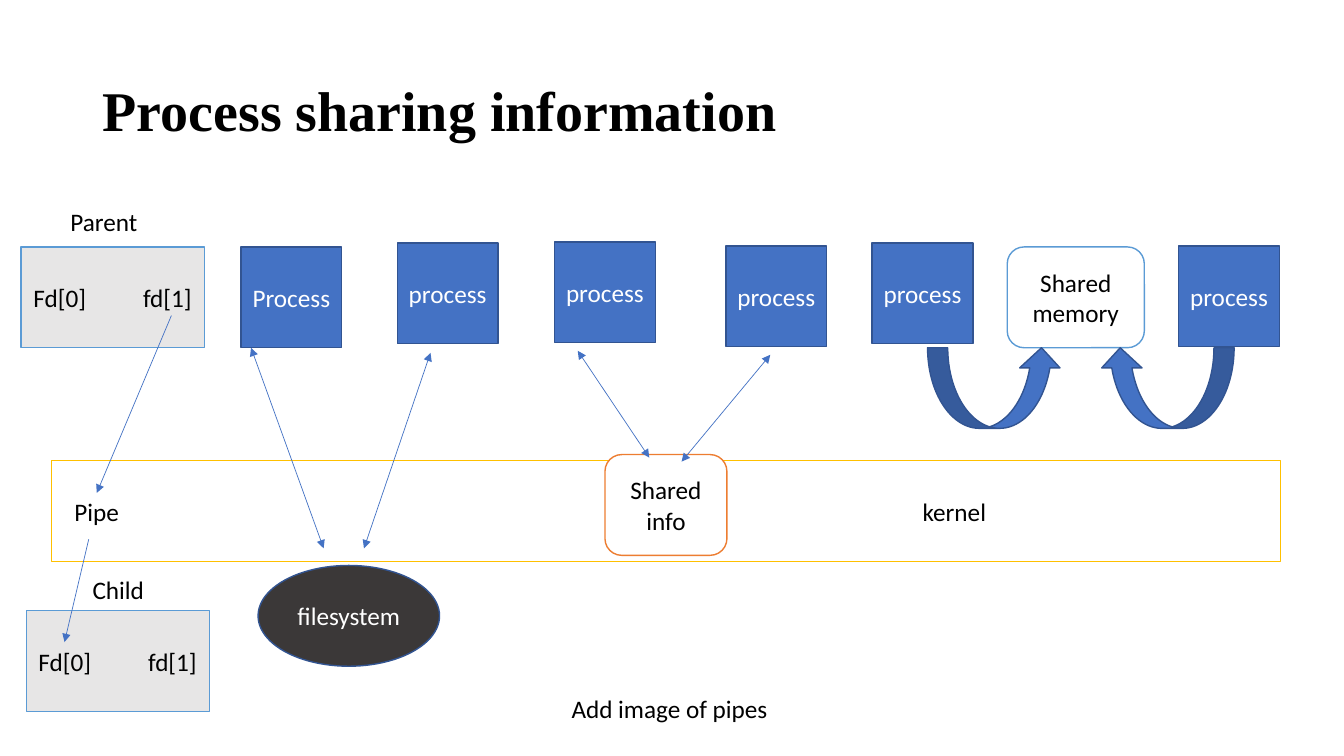
from lxml import etree
from pptx import Presentation
from pptx.dml.color import RGBColor
from pptx.enum.shapes import MSO_CONNECTOR, MSO_SHAPE
from pptx.enum.text import MSO_ANCHOR, PP_ALIGN
from pptx.oxml.ns import qn
from pptx.util import Inches, Pt

RECT, ROUNDED, OVAL = MSO_SHAPE.RECTANGLE, MSO_SHAPE.ROUNDED_RECTANGLE, MSO_SHAPE.OVAL
CURVED_UP, CURVED_DOWN = MSO_SHAPE.CURVED_UP_ARROW, MSO_SHAPE.CURVED_DOWN_ARROW
STRAIGHT = MSO_CONNECTOR.STRAIGHT
LEFT, CENTER = PP_ALIGN.LEFT, PP_ALIGN.CENTER
TOP, MIDDLE = MSO_ANCHOR.TOP, MSO_ANCHOR.MIDDLE

COLORS = {
    "black": "000000",
    "white": "FFFFFF",
    "blue": "4472C4",
    "navy": "325491",
    "sky": "5B9BD5",
    "gold": "FFC000",
    "orange": "ED7D31",
    "grey": "E7E6E6",
    "charcoal": "3B3838",
}


def rgb(name):
    return RGBColor.from_string(COLORS[name])


class Diagram:
    """Draws the elements of one slide in a shared style."""

    font, size = "Calibri", 18

    def __init__(self, slide):
        self.shapes = slide.shapes

    def set_text(self, frame, text, color="black", align=CENTER, anchor=MIDDLE,
                 font=font, size=size, bold=False):
        frame.text = text
        frame.word_wrap = True
        frame.vertical_anchor = anchor
        for para in frame.paragraphs:
            para.alignment = align
            for span in para.runs:
                span.font.name = font
                span.font.size = Pt(size)
                span.font.bold = bold
                span.font.color.rgb = rgb(color)

    def label(self, text, left, top, width, height=0.4, anchor=TOP, **style):
        box = self.shapes.add_textbox(*map(Inches, (left, top, width, height)))
        self.set_text(box.text_frame, text, align=LEFT, anchor=anchor, **style)
        return box

    def box(self, kind, left, top, width, height=1, text="", fill="blue",
            line="navy", color="white", align=CENTER):
        box = self.shapes.add_shape(kind, *map(Inches, (left, top, width, height)))
        box.shadow.inherit = False
        box.fill.solid()
        box.fill.fore_color.rgb = rgb(fill)
        box.line.color.rgb = rgb(line)
        box.line.width = Pt(1)
        if text:
            self.set_text(box.text_frame, text, color, align)
        return box

    def descriptors(self, left, top):
        """Box with the two pipe ends, the second set at a tab stop."""
        box = self.box(RECT, left, top, 1.82, text="Fd[0]\tfd[1]", fill="grey",
                       line="sky", color="black", align=LEFT)
        box.text_frame.margin_left = Inches(0.12)
        box.text_frame.margin_right = 0
        properties = box.text_frame.paragraphs[0]._p.get_or_add_pPr()
        stops = etree.SubElement(properties, qn("a:tabLst"))
        etree.SubElement(stops, qn("a:tab"), pos=str(Inches(1.09)), algn="l")

    def arrow(self, start, end, both=True):
        arrow = self.shapes.add_connector(STRAIGHT, *map(Inches, start + end))
        arrow.line.color.rgb = rgb("blue")
        arrow.line.width = Pt(0.5)
        properties = arrow._element.spPr
        line = properties.find(qn("a:ln"))
        for tip in ("a:headEnd", "a:tailEnd") if both else ("a:tailEnd",):
            etree.SubElement(line, qn(tip), type="triangle")
        etree.SubElement(properties, qn("a:effectLst"))


def main():
    deck = Presentation()
    deck.slide_width, deck.slide_height = Inches(13.33), Inches(7.5)
    page = Diagram(deck.slides.add_slide(deck.slide_layouts[6]))

    title = page.label("Process sharing information", 0.92, 0.4, 11.5, 1.45,
                       anchor=MIDDLE, font="Times New Roman", size=40, bold=True)
    title.text_frame.paragraphs[0].line_spacing = 0.9

    kernel = page.box(RECT, 0.51, 4.57, 12.19, text="kernel", fill="white",
                      line="gold", color="black", align=LEFT)
    kernel.text_frame.margin_left = Inches(8.64)

    processes = [
        ("Process", 2.39, 2.45), ("process", 3.94, 2.41), ("process", 5.5, 2.4),
        ("process", 7.2, 2.44), ("process", 8.65, 2.41), ("process", 11.69, 2.44),
    ]
    for name, left, top in processes:
        page.box(RECT, left, top, 1, text=name)

    page.box(ROUNDED, 9.99, 2.45, 1.36, text="Shared\nmemory", fill="white",
             line="sky", color="black")
    page.box(CURVED_UP, 9.2, 3.45, 1.33, 0.8)
    page.box(CURVED_DOWN, 10.91, 3.45, 1.33, 0.8).rotation = 180

    page.box(ROUNDED, 6, 4.51, 1.21, text="Shared\ninfo", fill="white",
             line="orange", color="black")
    page.box(OVAL, 2.56, 5.61, 1.8, text="filesystem", fill="charcoal")

    for left, top in [(0.21, 2.45), (0.26, 6.06)]:
        page.descriptors(left, top)

    page.label("Parent", 0.6, 2, 1.2)
    page.label("Pipe", 0.64, 4.87, 1.38)
    page.label("Child", 0.82, 5.65, 1.2)
    page.label("Add image of pipes", 5.57, 6.83, 5.48)

    shared_links = [
        ((5.73, 3.48), (6.44, 4.54)), ((7.64, 3.52), (6.76, 4.58)),
        ((4.27, 3.5), (3.61, 5.44)), ((2.49, 3.45), (3.21, 5.44)),
    ]
    for start, end in shared_links:
        page.arrow(start, end)

    pipe_flow = [((1.7, 3.13), (0.96, 4.89)), ((0.88, 5.35), (0.64, 6.37))]
    for start, end in pipe_flow:
        page.arrow(start, end, both=False)

    deck.save("out.pptx")


if __name__ == "__main__":
    main()
